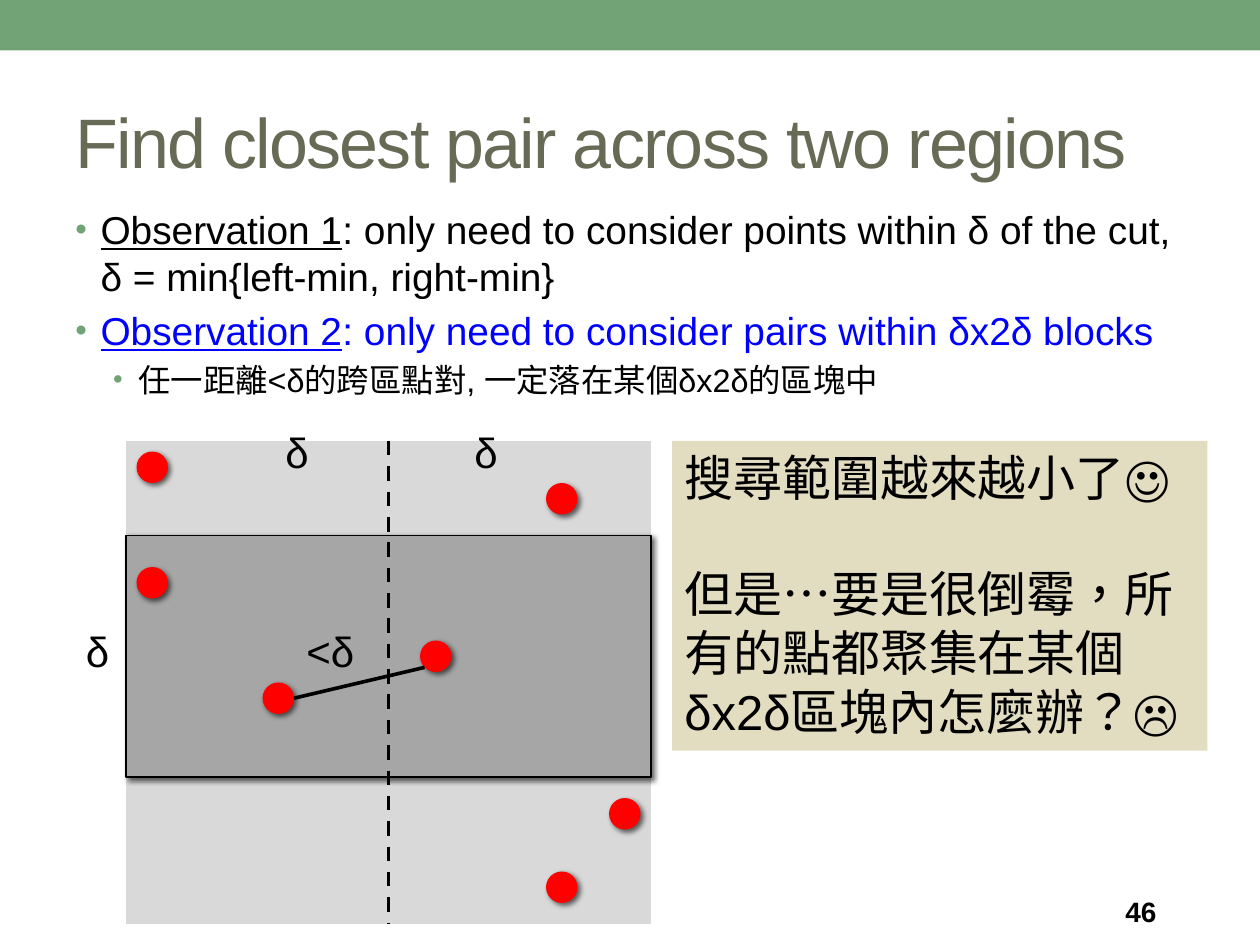
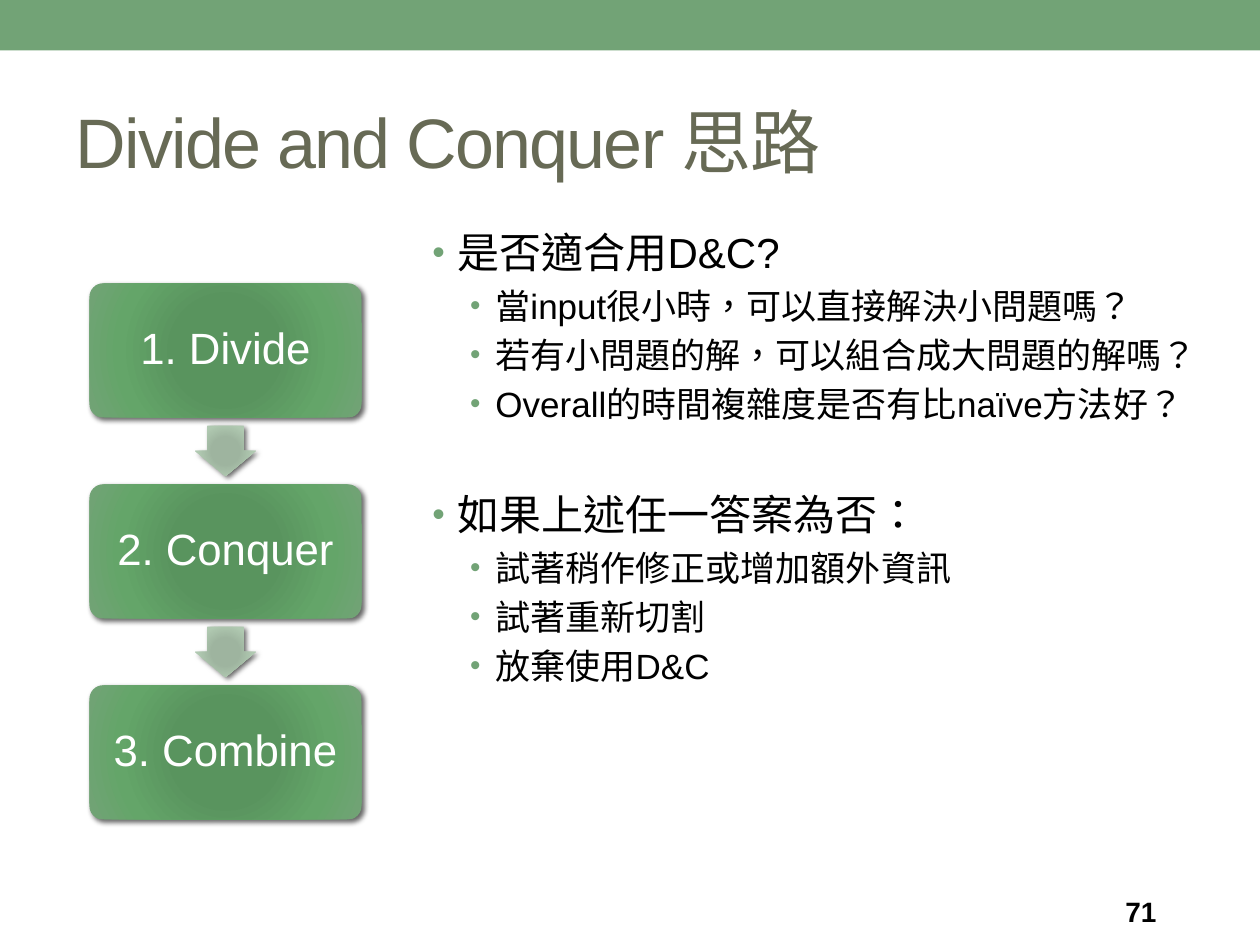
"""Build two slides on the closest-pair problem and the divide-and-conquer approach."""
from dataclasses import dataclass
from typing import NamedTuple, Optional, Sequence

from lxml.etree import SubElement
from pptx import Presentation
from pptx.dml.color import RGBColor
from pptx.enum.dml import MSO_LINE_DASH_STYLE as Dash
from pptx.enum.shapes import MSO_CONNECTOR as Connector, MSO_SHAPE as Preset
from pptx.enum.text import MSO_ANCHOR as Anchor, MSO_AUTO_SIZE as AutoSize, PP_ALIGN as Align
from pptx.oxml import parse_xml
from pptx.oxml.ns import nsdecls, qn
from pptx.util import Pt


@dataclass(frozen=True)
class Theme:
    font: str = "Arial"
    green: RGBColor = RGBColor(0x72, 0xA3, 0x76)
    olive: RGBColor = RGBColor(0x67, 0x6A, 0x55)
    black: RGBColor = RGBColor(0, 0, 0)
    white: RGBColor = RGBColor(255, 255, 255)
    blue: RGBColor = RGBColor(0, 0, 255)
    red: RGBColor = RGBColor(255, 0, 0)
    pale_gray: RGBColor = RGBColor(0xD9, 0xD9, 0xD9)
    mid_gray: RGBColor = RGBColor(0xA6, 0xA6, 0xA6)
    sand: RGBColor = RGBColor(0xE2, 0xDC, 0xC1)
    step_glow: tuple = ("57965C", "59945E", "64A569", "72A376")
    arrow_glow: tuple = ("9DB59E", "9EB49F", "B0C9B1", "BCCEBD")
    glow_stops: tuple = (0, 34, 70, 100)
    title_size: float = 40
    remark_size: float = 28
    step_size: float = 25
    label_size: float = 24
    page_size: float = 16
    cut_width: float = 2.08


THEME = Theme()


class Box(NamedTuple):
    left: float
    top: float
    width: float
    height: float

    def lengths(self) -> list:
        return [Pt(value) for value in self]


class Span(NamedTuple):
    text: str
    size: float
    color: RGBColor = THEME.black
    underline: bool = False
    bold: bool = False
    tracking: float = 0


class Bullet(NamedTuple):
    spans: Sequence[Span]
    level: int = 0
    gap: Optional[float] = None


class Label(NamedTuple):
    text: str
    left: float
    top: float
    width: float = 28


class Point(NamedTuple):
    left: float
    top: float


TITLE_BOX = Box(36, 42, 648, 77)
BAND_BOX = Box(0, 0, 720, 28.8)
PAGE_BOX = Box(636, 508, 84, 26)
LEVEL_MARGINS = (14.4, 36)
HANGING = 14.4
DOT = 18

STRIP = Box(72, 252, 300, 276)
BLOCK = Box(72, 306, 300, 138)
LEFT_NEAR = Point(150, 390)
RIGHT_NEAR = Point(240, 366)
DOTS = (Point(348, 456), Point(312, 276), LEFT_NEAR, Point(312, 498),
        RIGHT_NEAR, Point(78, 258), Point(78, 324))
DISTANCES = (Label("δ", 42, 354), Label("δ", 156, 240), Label("δ", 264, 240),
             Label("<δ", 168, 354, 42.5))

STEPS = ("1. Divide", "2. Conquer", "3. Combine")
STEP_BOX = Box(51.1, 162, 155.5, 76.6)
STEP_PITCH = 114.85
ARROW_LENGTH, ARROW_WIDTH = 28.8, 34.6


def observation(name: str, claim: str, color: RGBColor) -> Bullet:
    """Return a bullet whose name is underlined."""
    return Bullet((Span(name, 22.2, color, underline=True), Span(claim, 22.2, color)))


def question(text: str, gap: Optional[float] = None) -> Bullet:
    """Return a main bullet."""
    return Bullet((Span(text, 24),), gap=gap)


def detail(text: str, size: float = 20) -> Bullet:
    """Return a second-level bullet."""
    return Bullet((Span(text, size),), level=1)


def add_span(paragraph, span: Span) -> None:
    """Append one formatted run."""
    run = paragraph.add_run()
    run.text = span.text
    run.font.name = THEME.font
    run.font.size = Pt(span.size)
    run.font.color.rgb = span.color
    run.font.bold = span.bold
    run.font.underline = span.underline
    properties = run._r.get_or_add_rPr()
    properties.set("lang", "zh-TW")
    if span.tracking:
        properties.set("spc", str(round(span.tracking * 100)))


def add_text(slide, box: Box, spans: Sequence[Span], wrap: bool = True,
             anchor: Anchor = Anchor.TOP, gap: float = 0):
    """Add a text box with one paragraph per span."""
    holder = slide.shapes.add_textbox(*box.lengths())
    frame = holder.text_frame
    frame.word_wrap = wrap
    frame.vertical_anchor = anchor
    for index, span in enumerate(spans):
        paragraph = frame.add_paragraph() if index else frame.paragraphs[0]
        if index:
            paragraph.space_before = Pt(gap)
        add_span(paragraph, span)
    return holder


def add_bullets(slide, box: Box, bullets: Sequence[Bullet]) -> None:
    """Add a text box holding a two-level bullet list."""
    frame = slide.shapes.add_textbox(*box.lengths()).text_frame
    frame.word_wrap = True
    for index, bullet in enumerate(bullets):
        paragraph = frame.add_paragraph() if index else frame.paragraphs[0]
        paragraph.level = bullet.level
        properties = paragraph._p.get_or_add_pPr()
        properties.set("marL", str(Pt(LEVEL_MARGINS[bullet.level])))
        properties.set("indent", str(-Pt(HANGING)))
        mark_color = SubElement(properties, qn("a:buClr"))
        SubElement(mark_color, qn("a:srgbClr"), val=str(THEME.green))
        SubElement(properties, qn("a:buSzPct"), val="85000")
        SubElement(properties, qn("a:buFont"), typeface=THEME.font)
        SubElement(properties, qn("a:buChar"), char="•")
        if index:
            paragraph.space_before = Pt(bullet.gap or round(bullet.spans[0].size * 0.2, 1))
        for span in bullet.spans:
            add_span(paragraph, span)


def add_shadow(shape) -> None:
    """Give a shape the soft lower-right shadow."""
    effects = shape._element.spPr.find(qn("a:effectLst"))
    shadow = SubElement(effects, qn("a:outerShdw"), blurRad=str(Pt(3)), dist=str(Pt(2)),
                        dir="2700000", algn="tl", rotWithShape="0")
    color = SubElement(shadow, qn("a:srgbClr"), val=str(THEME.black))
    SubElement(color, qn("a:alpha"), val="60000")


def add_area(slide, preset: Preset, box: Box, color: RGBColor, shadow: bool = False):
    """Add a filled preset shape without outline."""
    area = slide.shapes.add_shape(preset, *box.lengths())
    area.shadow.inherit = False
    area.fill.solid()
    area.fill.fore_color.rgb = color
    area.line.fill.background()
    if shadow:
        add_shadow(area)
    return area


def add_glowing(slide, preset: Preset, box: Box, colors: Sequence[str]):
    """Add a shadowed shape with a radial gradient."""
    area = add_area(slide, preset, box, THEME.green, shadow=True)
    stops = "".join(f'<a:gs pos="{stop * 1000}"><a:srgbClr val="{color}"/></a:gs>'
                    for stop, color in zip(THEME.glow_stops, colors))
    gradient = parse_xml(
        f'<a:gradFill {nsdecls("a")} rotWithShape="1"><a:gsLst>{stops}</a:gsLst>'
        '<a:path path="circle"><a:fillToRect l="100000" t="100000" r="100000" b="100000"/>'
        '</a:path></a:gradFill>')
    properties = area._element.spPr
    properties.replace(properties.find(qn("a:solidFill")), gradient)
    return area


def add_segment(slide, start: Point, end: Point, dashed: bool = False) -> None:
    """Add a straight black line."""
    ends = [Pt(value) for value in (*start, *end)]
    segment = slide.shapes.add_connector(Connector.STRAIGHT, *ends)
    segment.line.color.rgb = THEME.black
    segment.line.width = Pt(THEME.cut_width)
    if dashed:
        segment.line.dash_style = Dash.DASH
    SubElement(segment._element.spPr, qn("a:effectLst"))


def start_slide(deck, title: str, page: str, title_box: Box = TITLE_BOX):
    """Add a slide with the band, title and page number."""
    slide = deck.slides.add_slide(deck.slide_layouts[5])
    add_area(slide, Preset.RECTANGLE, BAND_BOX, THEME.green)
    heading = slide.shapes.title
    heading.left, heading.top, heading.width, heading.height = title_box.lengths()
    frame = heading.text_frame
    frame.auto_size = AutoSize.NONE
    frame.vertical_anchor = Anchor.MIDDLE
    frame.paragraphs[0].alignment = Align.LEFT
    add_span(frame.paragraphs[0], Span(title, THEME.title_size, THEME.olive, tracking=-1))
    add_text(slide, PAGE_BOX, [Span(page, THEME.page_size, bold=True)], anchor=Anchor.MIDDLE)
    return slide


def build_closest_pair(deck) -> None:
    """Draw the slide about pairs that cross the cut."""
    slide = start_slide(deck, "Find closest pair across two regions", "46",
                        TITLE_BOX._replace(width=714))
    add_bullets(slide, Box(36, 114, 648, 132), (
        observation("Observation 1", ": only need to consider points within δ of the cut, "
                    "δ = min{left-min, right-min}", THEME.black),
        observation("Observation 2", ": only need to consider pairs within δx2δ blocks",
                    THEME.blue),
        detail("任一距離<δ的跨區點對, 一定落在某個δx2δ的區塊中", 18.5)))
    add_area(slide, Preset.RECTANGLE, STRIP, THEME.pale_gray)
    block = add_area(slide, Preset.RECTANGLE, BLOCK, THEME.mid_gray, shadow=True)
    block.line.color.rgb = THEME.black
    block.line.width = Pt(0.75)
    cut = STRIP.left + STRIP.width / 2
    add_segment(slide, Point(cut, STRIP.top), Point(cut, STRIP.top + STRIP.height), dashed=True)
    for dot in DOTS:
        add_area(slide, Preset.OVAL, Box(*dot, DOT, DOT), THEME.red, shadow=True)
    add_segment(slide, Point(RIGHT_NEAR.left + 2.6, RIGHT_NEAR.top + 15.4),
                Point(LEFT_NEAR.left + DOT, LEFT_NEAR.top + DOT / 2))
    for label in DISTANCES:
        add_text(slide, Box(label.left, label.top, label.width, 36),
                 [Span(label.text, THEME.label_size)], wrap=False)
    remark = add_text(slide, Box(384, 252, 306, 177), [
        Span("搜尋範圍越來越小了☺", THEME.remark_size),
        Span("但是…要是很倒霉，所有的點都聚集在某個δx2δ區塊內怎麼辦？☹", THEME.remark_size)],
        gap=33)
    remark.fill.solid()
    remark.fill.fore_color.rgb = THEME.sand


def build_divide_and_conquer(deck) -> None:
    """Draw the slide with the three steps and the checklist."""
    slide = start_slide(deck, "Divide and Conquer 思路", "71")
    add_bullets(slide, Box(240, 126, 444, 384), (
        question("是否適合用D&C?"),
        detail("當input很小時，可以直接解決小問題嗎？"),
        detail("若有小問題的解，可以組合成大問題的解嗎？"),
        detail("Overall的時間複雜度是否有比naïve方法好？"),
        question("如果上述任一答案為否：", gap=37),
        detail("試著稍作修正或增加額外資訊"),
        detail("試著重新切割"),
        detail("放棄使用D&C")))
    center = STEP_BOX.left + STEP_BOX.width / 2
    for index, step in enumerate(STEPS):
        top = STEP_BOX.top + index * STEP_PITCH
        card = add_glowing(slide, Preset.ROUNDED_RECTANGLE, STEP_BOX._replace(top=top),
                           THEME.step_glow)
        card.adjustments[0] = 0.1
        card.text_frame.word_wrap = True
        card.text_frame.vertical_anchor = Anchor.MIDDLE
        caption = card.text_frame.paragraphs[0]
        caption.alignment = Align.CENTER
        caption.line_spacing = 0.9
        add_span(caption, Span(step, THEME.step_size, THEME.white))
        if index < len(STEPS) - 1:
            middle = top + (STEP_BOX.height + STEP_PITCH) / 2
            arrow = add_glowing(slide, Preset.RIGHT_ARROW, Box(
                center - ARROW_LENGTH / 2, middle - ARROW_WIDTH / 2,
                ARROW_LENGTH, ARROW_WIDTH), THEME.arrow_glow)
            arrow.rotation = 90
            arrow.adjustments[0] = 0.6
            arrow.adjustments[1] = 0.5


def main() -> None:
    """Build and save the deck."""
    deck = Presentation()
    deck.slide_width, deck.slide_height = Pt(720), Pt(540)
    build_closest_pair(deck)
    build_divide_and_conquer(deck)
    deck.save("out.pptx")


if __name__ == "__main__":
    main()
